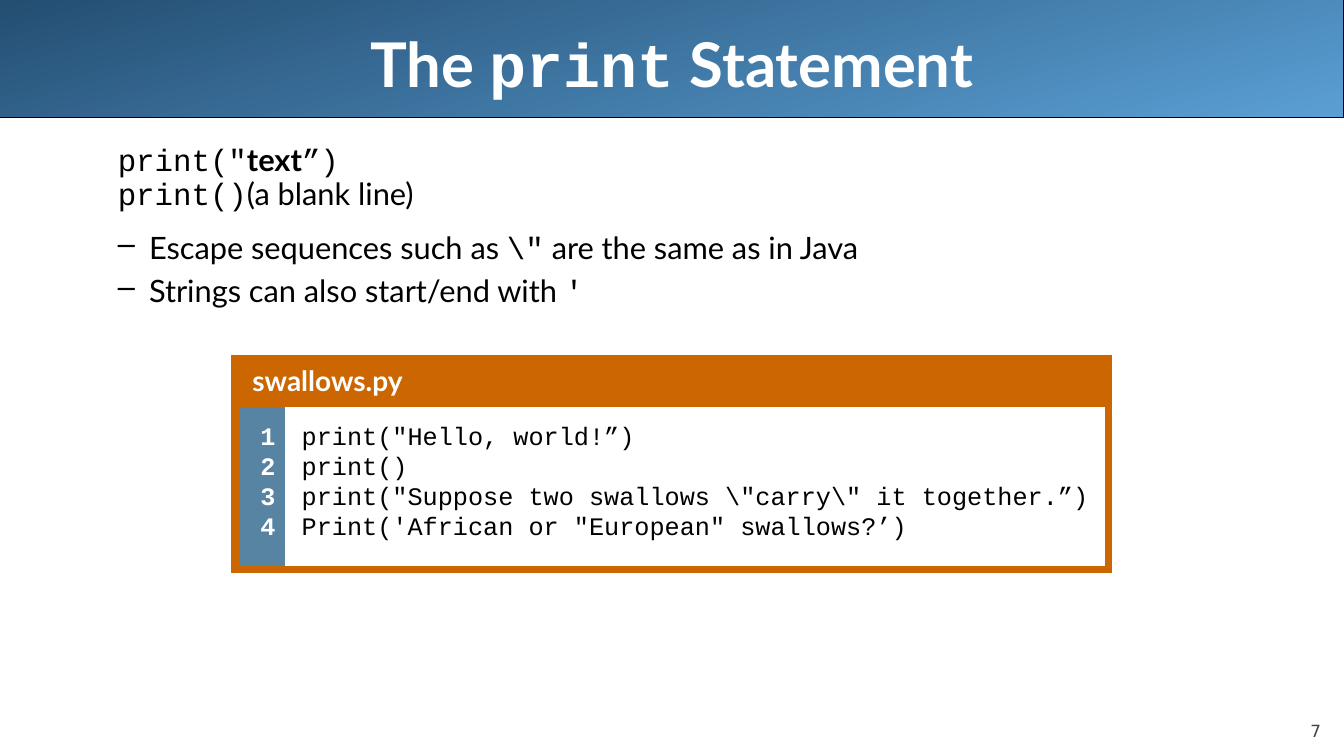
"""Build the slide on the print statement with a code listing."""
import pptx
import pptx.dml.color
import pptx.enum.shapes
import pptx.enum.text
import pptx.oxml
import pptx.oxml.ns
import pptx.util

Pt = pptx.util.Pt
Inches = pptx.util.Inches
Align = pptx.enum.text.PP_ALIGN
Anchor = pptx.enum.text.MSO_ANCHOR
Color = pptx.dml.color.RGBColor.from_string
theme = {
    "sans": "Lato", "mono": "Courier New", "page": "DejaVu Sans",
    "white": "FFFFFF", "black": "000000", "grey": "424242",
    "dark": "244E72", "light": "5A9FD4", "frame": "CC6600", "gutter": "5784A3",
    "title": 44, "body": 22, "file": 20, "code": 18, "small": 12,
}

deck = pptx.Presentation()
deck.slide_width, deck.slide_height = Inches(13.33), Inches(7.5)
wide, high = deck.slide_width, deck.slide_height
slide = deck.slides.add_slide(deck.slide_layouts[6])


def write(para, parts, size, color):
    """Add runs given as (text, font, bold) to a paragraph."""
    for text, font, bold in parts:
        run = para.add_run()
        run.text = text
        run.font.name = theme[font]
        run.font.size = Pt(theme[size])
        run.font.bold = bold
        run.font.color.rgb = Color(theme[color])


def place(left, top, width, height, anchor):
    """Add a wrapping text box placed by shares of the slide."""
    box = slide.shapes.add_textbox(
        int(left * wide), int(top * high), int(width * wide), int(height * high))
    box.text_frame.word_wrap = True
    box.text_frame.vertical_anchor = anchor
    return box.text_frame


band = slide.shapes.add_shape(
    pptx.enum.shapes.MSO_SHAPE.ROUNDED_RECTANGLE, 0, 0, wide, int(0.156 * high))
band.adjustments[0] = 0
band.shadow.inherit = False
band.fill.gradient()
band.fill.gradient_angle = 285
for stop, shade, spot in zip(band.fill.gradient_stops, ("dark", "light"), (0, 1)):
    stop.color.rgb = Color(theme[shade])
    stop.position = spot
band.line.color.rgb = Color(theme["black"])
band.line.width = Pt(0.75)

page = place(0.9, 0.927, 0.083, 0.053, Anchor.BOTTOM)
page.margin_left = page.margin_right = page.margin_top = page.margin_bottom = 0
page.paragraphs[0].alignment = Align.RIGHT
write(page.paragraphs[0], [("7", "page", False)], "small", "grey")

title = place(0.05, 0, 0.9, 1 / 6, Anchor.MIDDLE).paragraphs[0]
title.alignment = Align.CENTER
write(title, [("The ", "sans", True), ("print", "mono", True),
              (" Statement", "sans", True)], "title", "white")

points = [
    (0.77, 0, "", [("print(\"", "mono", False), ("text", "sans", True),
                   ("”)", "mono", False)]),
    (0.77, 4.4, "", [("print()", "mono", False), ("(a blank line)", "sans", False)]),
    (1, 12.2, "–", [("Escape sequences such as ", "sans", False), ("\\\"", "mono", False),
                    (" are the same as in Java", "sans", False)]),
    (1, 4.4, "–", [("Strings can also start/end with ", "sans", False),
                   ("'", "mono", False)]),
]
body = place(0.033, 0.19, 0.95, 0.722, Anchor.TOP)
for num, (pitch, gap, mark, parts) in enumerate(points):
    para = body.add_paragraph() if num else body.paragraphs[0]
    props = para._p.get_or_add_pPr()
    props.set("marL", str(Inches(0.94)))
    props.set("indent", str(Inches(-0.31)))
    bullet = pptx.oxml.parse_xml(
        f'<a:{"buChar" if mark else "buNone"} {pptx.oxml.ns.nsdecls("a")}/>')
    if mark:
        bullet.set("char", mark)
    props.append(bullet)
    para.line_spacing = pitch
    para.space_before = Pt(gap)
    write(para, parts, "body", "black")

code = [
    "print(\"Hello, world!”)",
    "print()",
    "print(\"Suppose two swallows \\\"carry\\\" it together.”)",
    "Print('African or \"European\" swallows?’)",
]
digits = [str(num + 1) for num in range(len(code))]
table = slide.shapes.add_table(
    2, 2, int(0.175 * wide), int(0.475 * high), int(0.65 * wide), Inches(2.02)).table
table.first_row = table.horz_banding = False
for col, width in zip(table.columns, (0.49, 8.17)):
    col.width = Inches(width)
for row, height in zip(table.rows, (0.43, 1.59)):
    row.height = Inches(height)

cells = [
    (0, 0, ["swallows.py"], "sans", "file", True, "white", "frame", "LRTB", 0.05, 0.05),
    (0, 1, [], "sans", "file", True, "white", "frame", "LRTB", 0.05, 0.05),
    (1, 0, digits, "mono", "code", True, "white", "gutter", "LTB", 0.23, 0.09),
    (1, 1, code, "mono", "code", False, "black", "white", "RTB", 0.23, 0.18),
]
for row, col, lines, font, size, bold, ink, fill, sides, pad, right in cells:
    cell = table.cell(row, col)
    cell.margin_left, cell.margin_right = Inches(0.05), Inches(right)
    cell.margin_top = cell.margin_bottom = Inches(pad)
    props = cell._tc.get_or_add_tcPr()
    for side in "LRTB":
        paint = (f'<a:solidFill><a:srgbClr val="{theme["frame"]}"/></a:solidFill>'
                 if side in sides else "<a:noFill/>")
        props.append(pptx.oxml.parse_xml(
            f'<a:ln{side} {pptx.oxml.ns.nsdecls("a")} w="{Pt(6)}">{paint}</a:ln{side}>'))
    cell.fill.solid()
    cell.fill.fore_color.rgb = Color(theme[fill])
    for num, line in enumerate(lines):
        frame = cell.text_frame
        para = frame.add_paragraph() if num else frame.paragraphs[0]
        para._p.get_or_add_pPr().set("marL", str(Inches(0.12)))
        para.alignment = Align.RIGHT if lines is digits else Align.LEFT
        para.line_spacing = 0.87 if row else 1
        para.space_before = Pt(3.6 if num else 0)
        write(para, [(line, font, bold)], size, ink)
table.cell(0, 0).merge(table.cell(0, 1))

deck.save("out.pptx")
